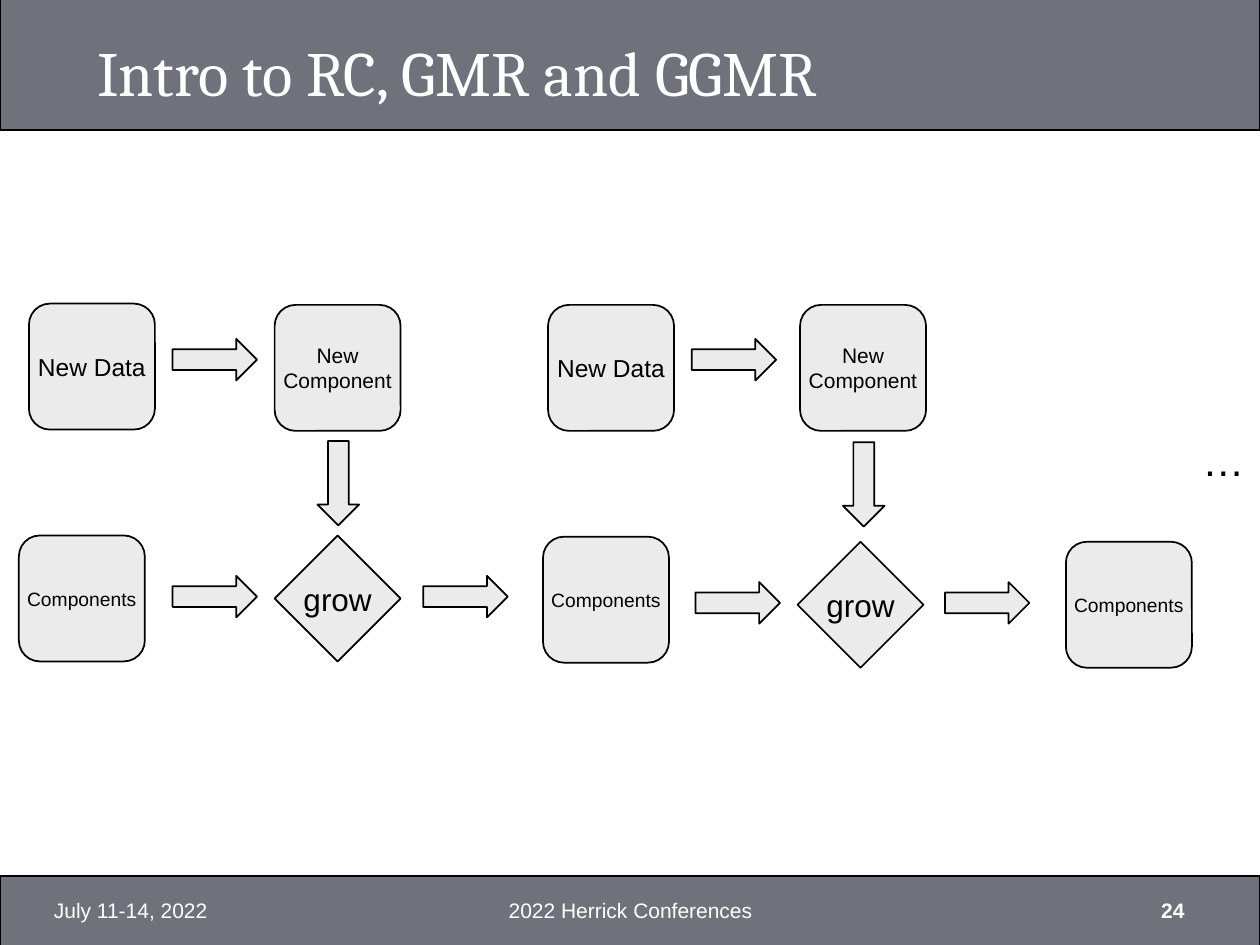
from dataclasses import dataclass

from pptx import Presentation
from pptx import util as u
from pptx.dml.color import RGBColor
from pptx.enum import shapes, text


@dataclass(frozen=True)
class Theme:
    band: RGBColor = RGBColor(0x6F, 0x72, 0x7B)
    node: RGBColor = RGBColor(0xEB, 0xEB, 0xEB)
    ink: RGBColor = RGBColor(0, 0, 0)
    light: RGBColor = RGBColor(0xFF, 0xFF, 0xFF)
    heading_font: str = "Cambria"
    body_font: str = "Arial"
    title_size: int = 36
    ellipsis_size: int = 24
    footer_size: int = 12
    outline: int = 1


@dataclass(frozen=True)
class NodeKind:
    label: str
    size: int
    outline: shapes.MSO_SHAPE = shapes.MSO_SHAPE.ROUNDED_RECTANGLE


@dataclass(frozen=True)
class Node:
    kind: NodeKind
    left: float
    top: float


@dataclass(frozen=True)
class Arrow:
    left: float
    top: float
    rotation: int = 0


@dataclass(frozen=True)
class Label:
    words: str
    left: float
    width: float
    align: text.PP_ALIGN
    bold: bool = False


THEME = Theme()
NODE_SIDE = 1
ARROW_LENGTH, ARROW_WIDTH = 0.67, 0.33
FOOTER_TOP, FOOTER_HEIGHT = 7.02, 0.4

NEW_DATA = NodeKind("New Data", 14)
NEW_COMPONENT = NodeKind("New\nComponent", 12)
COMPONENTS = NodeKind("Components", 11)
GROW = NodeKind("grow", 18, shapes.MSO_SHAPE.DIAMOND)

NODES = [
    Node(NEW_DATA, 0.23, 2.41), Node(NEW_COMPONENT, 2.18, 2.42),
    Node(COMPONENTS, 0.15, 4.25), Node(GROW, 2.18, 4.25),
    Node(NEW_DATA, 4.35, 2.42), Node(NEW_COMPONENT, 6.35, 2.42),
    Node(COMPONENTS, 4.31, 4.26), Node(GROW, 6.33, 4.3),
    Node(COMPONENTS, 8.46, 4.3),
]
ARROWS = [
    Arrow(1.37, 2.69), Arrow(2.35, 3.67, 90), Arrow(1.37, 4.57), Arrow(3.36, 4.57),
    Arrow(5.49, 2.69), Arrow(6.52, 3.68, 90), Arrow(5.52, 4.62), Arrow(7.5, 4.62),
]
FOOTERS = [
    Label("July 11-14, 2022", 0.33, 2.33, text.PP_ALIGN.LEFT),
    Label("24", 7.17, 2.33, text.PP_ALIGN.RIGHT, bold=True),
    Label("2022 Herrick Conferences", 3.42, 3.17, text.PP_ALIGN.CENTER),
]


def inches(*lengths: float) -> list[u.Length]:
    return [u.Inches(length) for length in lengths]


def write(frame, words: str, size: int, color: RGBColor, align: text.PP_ALIGN,
          font: str = THEME.body_font, bold: bool = False) -> None:
    """Fill a text frame, one paragraph a line, in a single style."""
    frame.text = words
    for para in frame.paragraphs:
        para.alignment = align
        para.font.name = font
        para.font.size = u.Pt(size)
        para.font.bold = bold
        para.font.color.rgb = color


def add_outlined(page, preset, left: float, top: float, width: float,
                 height: float, fill: RGBColor):
    shape = page.shapes.add_shape(preset, *inches(left, top, width, height))
    shape.shadow.inherit = False
    shape.fill.solid()
    shape.fill.fore_color.rgb = fill
    shape.line.color.rgb = THEME.ink
    shape.line.width = u.Pt(THEME.outline)
    return shape


def add_node(page, node: Node) -> None:
    kind = node.kind
    shape = add_outlined(page, kind.outline, node.left, node.top,
                         NODE_SIDE, NODE_SIDE, THEME.node)
    frame = shape.text_frame
    frame.word_wrap = False
    frame.vertical_anchor = text.MSO_ANCHOR.MIDDLE
    write(frame, kind.label, kind.size, THEME.ink, text.PP_ALIGN.CENTER)


def add_arrow(page, arrow: Arrow) -> None:
    shape = add_outlined(page, shapes.MSO_SHAPE.RIGHT_ARROW, arrow.left, arrow.top,
                         ARROW_LENGTH, ARROW_WIDTH, THEME.node)
    shape.rotation = arrow.rotation


def add_footer(page, label: Label) -> None:
    box = page.shapes.add_textbox(
        *inches(label.left, FOOTER_TOP, label.width, FOOTER_HEIGHT))
    frame = box.text_frame
    frame.word_wrap = True
    frame.vertical_anchor = text.MSO_ANCHOR.MIDDLE
    write(frame, label.words, THEME.footer_size, THEME.light, label.align,
          bold=label.bold)


def add_ellipsis(page) -> None:
    frame = page.shapes.add_textbox(*inches(9.44, 3.4, 0.54, 0.5)).text_frame
    frame.word_wrap = False
    frame.auto_size = text.MSO_AUTO_SIZE.SHAPE_TO_FIT_TEXT
    write(frame, "…", THEME.ellipsis_size, THEME.ink, text.PP_ALIGN.CENTER)


def set_title(page, words: str) -> None:
    """Fill the title placeholder and raise it above the bands."""
    title = page.shapes.title
    title.left, title.top, title.width, title.height = inches(0.67, 0.17, 8.64, 0.75)
    frame = title.text_frame
    frame.vertical_anchor = text.MSO_ANCHOR.BOTTOM
    frame.auto_size = text.MSO_AUTO_SIZE.NONE
    write(frame, words, THEME.title_size, THEME.light, text.PP_ALIGN.LEFT,
          THEME.heading_font)
    title._element.getparent().append(title._element)


def main() -> None:
    deck = Presentation()
    deck.slide_width, deck.slide_height = inches(10, 7.5)
    page = deck.slides.add_slide(deck.slide_layouts.get_by_name("Title Only"))

    for top, height in ((6.95, 0.56), (-0.02, 1.05)):
        add_outlined(page, shapes.MSO_SHAPE.RECTANGLE, 0, top, 10, height, THEME.band)
    set_title(page, "Intro to RC, GMR and GGMR")
    for label in FOOTERS:
        add_footer(page, label)
    for node in NODES:
        add_node(page, node)
    for arrow in ARROWS:
        add_arrow(page, arrow)
    add_ellipsis(page)

    deck.save("out.pptx")


if __name__ == "__main__":
    main()
